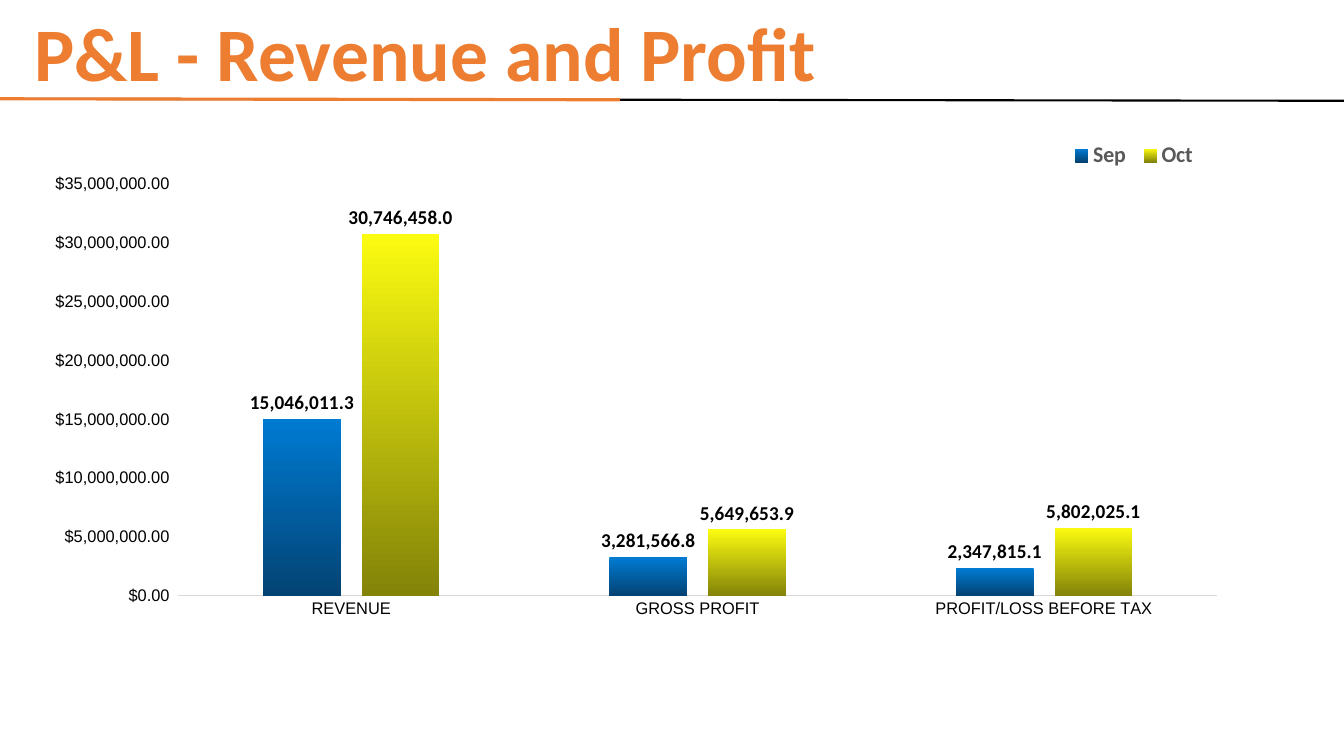
from lxml import etree
from pptx import Presentation
from pptx.chart.data import CategoryChartData
from pptx.dml.color import RGBColor
from pptx.enum.chart import (XL_CHART_TYPE, XL_LABEL_POSITION as LabelPos,
                             XL_LEGEND_POSITION as LegendPos, XL_TICK_MARK as Tick)
from pptx.enum.shapes import MSO_CONNECTOR
from pptx.enum.text import MSO_ANCHOR
from pptx.oxml import parse_xml
from pptx.oxml.ns import nsdecls, qn
from pptx.util import Inches, Pt

ORANGE = RGBColor(0xED, 0x7D, 0x31)
BLACK = RGBColor(0, 0, 0)
GREY = RGBColor(0x59, 0x59, 0x59)
AXIS_GREY = RGBColor(0xD9, 0xD9, 0xD9)
BLUES = (RGBColor(0x00, 0x7B, 0xD3), RGBColor(0x03, 0x43, 0x73))
YELLOWS = (RGBColor(0xFB, 0xFB, 0x11), RGBColor(0x83, 0x83, 0x09))

DOLLARS = r'[$$-45C]#,##0.00_);[Red]\([$$-45C]#,##0.00\)'
ONE_DECIMAL = r'_ * #,##0.0_ ;_ * \-#,##0.0_ ;_ * "-"??_ '


def style_font(font, name, size, color, bold=False):
    font.name = name
    font.size = Pt(size)
    font.bold = bold
    font.color.rgb = color


def make_layout(x, y, w, h, target=""):
    return parse_xml(
        f'<c:layout {nsdecls("c")}><c:manualLayout>{target}'
        '<c:xMode val="edge"/><c:yMode val="edge"/>'
        f'<c:x val="{x}"/><c:y val="{y}"/><c:w val="{w}"/><c:h val="{h}"/>'
        '</c:manualLayout></c:layout>')


prs = Presentation()
prs.slide_width, prs.slide_height = Inches(13.33), Inches(7.5)
s = prs.slides.add_slide(prs.slide_layouts[6])

# Title
title = s.shapes.add_textbox(Inches(0.24), Inches(0.11), Inches(10), Inches(0.91))
tf = title.text_frame
tf.word_wrap = True
tf.vertical_anchor = MSO_ANCHOR.BOTTOM
p = tf.paragraphs[0]
p.line_spacing = 0.9
r = p.add_run()
r.text = "P&L - Revenue and Profit"
style_font(r.font, "Calibri", 54, ORANGE, True)

# Rules under the title: full width, then the orange accent on top
for end_x, end_y, color, weight in ((13.35, 1, BLACK, 1.5), (6.15, 0.99, ORANGE, 2.25)):
    rule = s.shapes.add_connector(MSO_CONNECTOR.STRAIGHT, Inches(-0.02), Inches(0.98),
                                  Inches(end_x), Inches(end_y))
    rule.line.color.rgb = color
    rule.line.width = Pt(weight)
    etree.SubElement(rule._element.spPr, qn("a:effectLst"))

# Chart
data = CategoryChartData(number_format=DOLLARS)
data.categories = ["REVENUE", "GROSS PROFIT", "PROFIT/LOSS BEFORE TAX"]
data.add_series("Sep", (15046011.3, 3281566.8, 2347815.1))
data.add_series("Oct", (30746458, 5649653.9, 5802025.1))
chart = s.shapes.add_chart(XL_CHART_TYPE.COLUMN_CLUSTERED, Inches(0.55), Inches(1.18),
                           Inches(11.73), Inches(5.58), data).chart
chart.has_title = False
style_font(chart.font, "Calibri", 10, BLACK)

plot = chart.plots[0]
plot.gap_width = 219
plot.overlap = -27
plot.vary_by_categories = False
plot_area = chart._chartSpace.chart.plotArea
for old in plot_area.findall(qn("c:layout")):
    plot_area.remove(old)
plot_area.insert(0, make_layout(0.083, 0.116, 0.899, 0.732,
                                '<c:layoutTarget val="inner"/>'))

# Series with gradient fills and value labels
for series, colors in zip(plot.series, (BLUES, YELLOWS)):
    series.invert_if_negative = False
    fill = series.format.fill
    fill.gradient()
    fill.gradient_angle = 270
    for stop, color in zip(fill.gradient_stops, colors):
        stop.color.rgb = color
    labels = series.data_labels
    labels.show_value = True
    labels.position = LabelPos.OUTSIDE_END
    labels.number_format = ONE_DECIMAL
    labels.number_format_is_linked = False
    style_font(labels.font, "Calibri", 14, BLACK, True)

# Axes
for axis in (chart.category_axis, chart.value_axis):
    axis.has_major_gridlines = False
    axis.major_tick_mark = axis.minor_tick_mark = Tick.NONE
    style_font(axis.tick_labels.font, "Arial", 12, BLACK)
line = chart.category_axis.format.line
line.color.rgb = AXIS_GREY
line.width = Pt(0.75)
values = chart.value_axis
values.minimum_scale, values.maximum_scale, values.major_unit = 0, 35000000, 5000000
values.format.line.fill.background()
values.tick_labels.number_format = DOLLARS
values.tick_labels.number_format_is_linked = False

# Legend at the upper right
chart.has_legend = True
legend = chart.legend
legend.position = LegendPos.BOTTOM
legend.include_in_layout = False
style_font(legend.font, "Calibri", 16, GREY, True)
for old in legend._element.findall(qn("c:layout")):
    legend._element.remove(old)
legend._element.find(qn("c:legendPos")).addnext(make_layout(0.85, 0.03, 0.12, 0.07))

prs.save("out.pptx")
